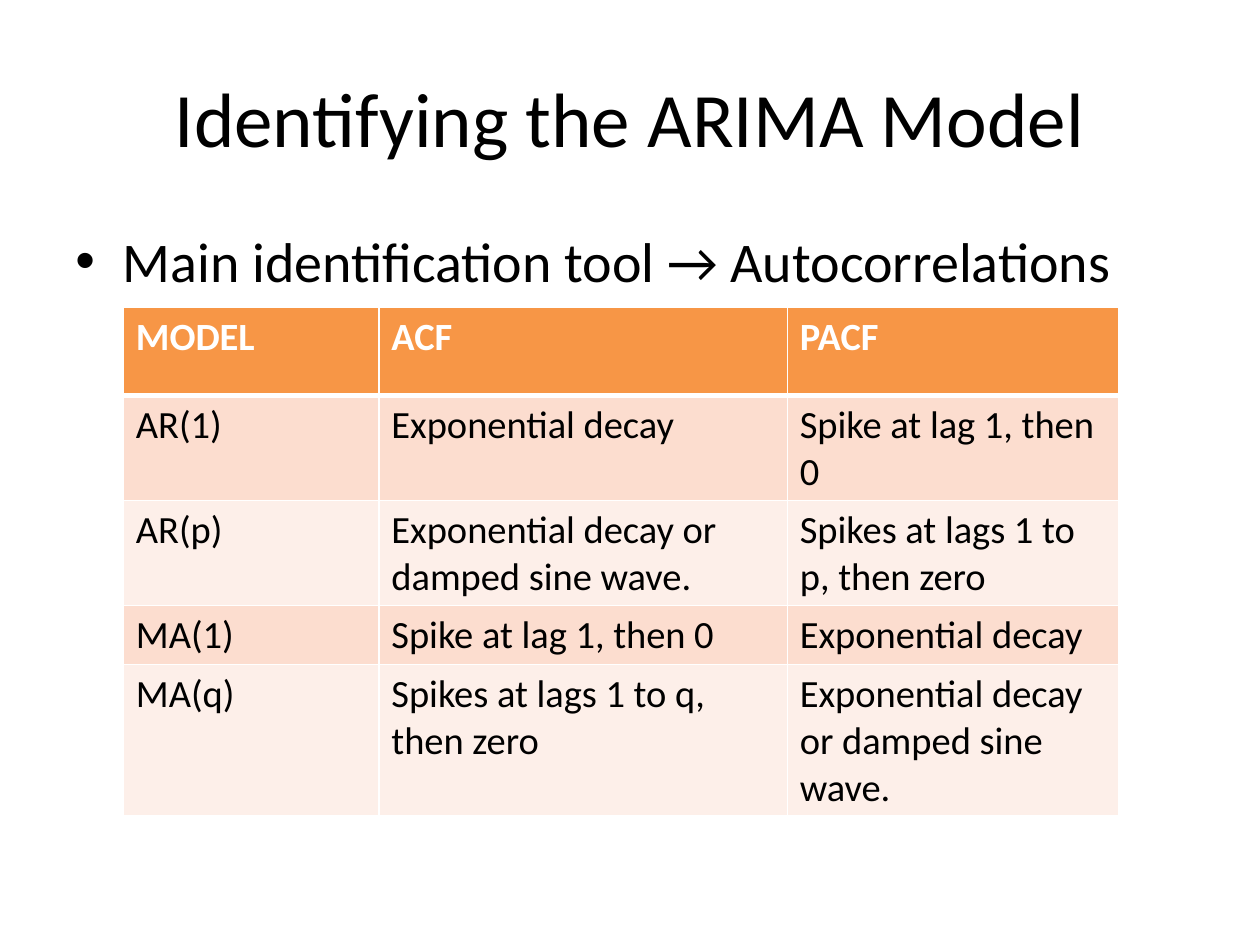
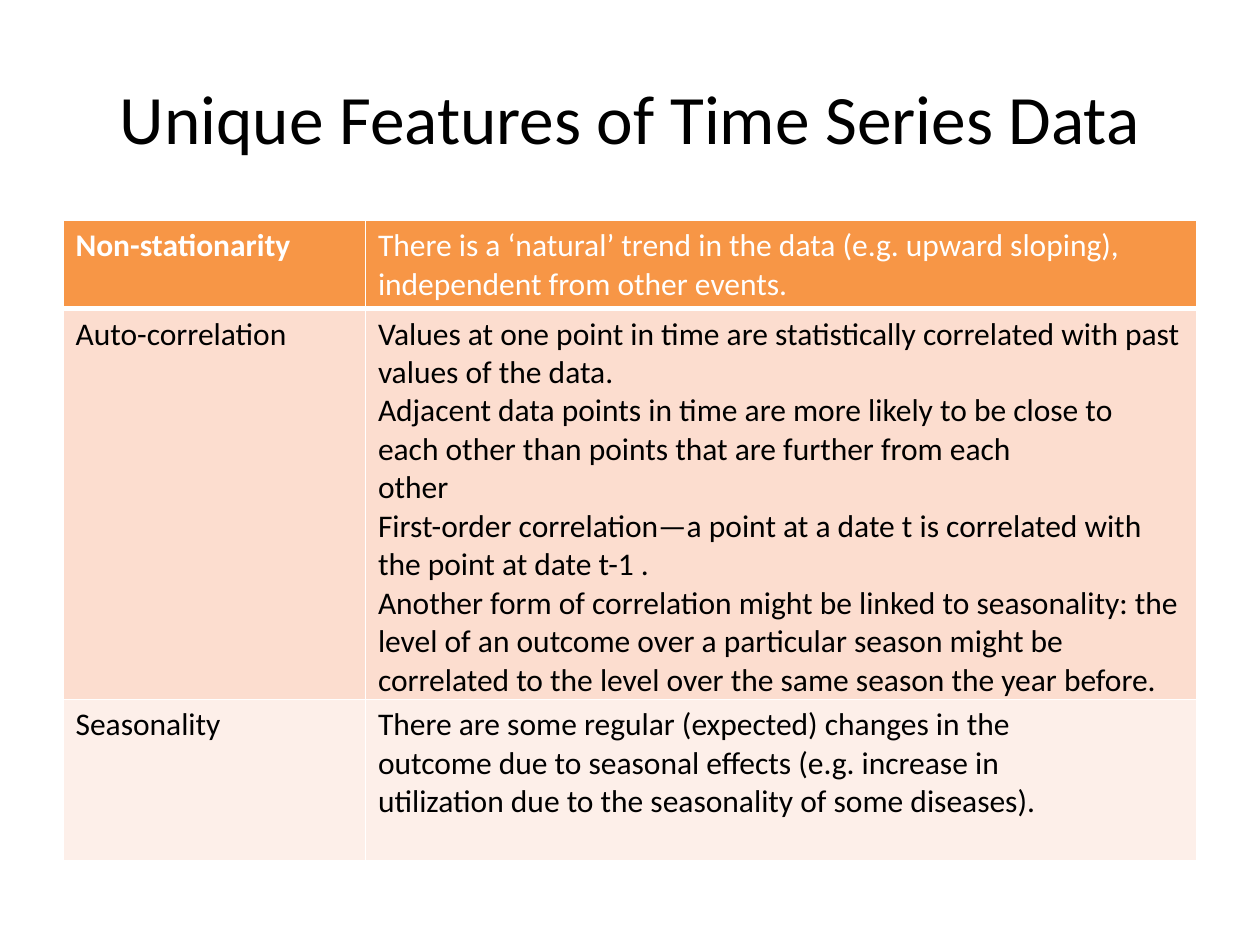
from dataclasses import dataclass

from lxml import etree
from pptx import Presentation
from pptx.dml.color import RGBColor
from pptx.enum import text
from pptx.oxml import ns
from pptx.util import Pt

FONT = "Calibri"
BLACK, WHITE = "000000", "FFFFFF"
HEADER_FILL = "F79646"
BAND_FILLS = ("FCDDCF", "FDEFE9")
MARGIN, CONTENT_WIDTH = 36, 648


@dataclass(frozen=True)
class Grid:
    """A banded table; lengths in points, a newline starts a paragraph."""
    left: float
    top: float
    height: float
    columns: tuple[float, ...]
    row_heights: tuple[float, ...]
    size: float
    rows: tuple[tuple[str, ...], ...]
    bold_headers: int


MODELS = Grid(
    left=70.5, top=175.7, height=291, columns=(146, 233.4, 189.4),
    row_heights=(50.4,) + (29.2,) * 4, size=22, bold_headers=3,
    rows=(
        ("MODEL", "ACF", "PACF"),
        ("AR(1)", "Exponential decay", "Spike at lag 1, then 0"),
        ("AR(p)", "Exponential decay or damped sine wave.",
         "Spikes at lags 1 to p, then zero"),
        ("MA(1)", "Spike at lag 1, then 0", "Exponential decay"),
        ("MA(q)", "Spikes at lags 1 to q, then zero",
         "Exponential decay or damped sine wave."),
    ),
)

FEATURES = Grid(
    left=MARGIN, top=126, height=365.8, columns=(172.8, 475.2),
    row_heights=(46, 193.7, 92.2), size=18, bold_headers=1,
    rows=(
        ("Non-stationarity",
         "There is a ‘natural’ trend in the data (e.g. upward sloping), "
         "independent from other events."),
        ("Auto-correlation",
         "Values at one point in time are statistically correlated with "
         "past values of the data.\n"
         "Adjacent data points in time are more likely to be close to\n"
         "each other than points that are further from each\n"
         "other\n"
         "First-order correlation—a point at a date t is correlated with "
         "the point at date t-1 .\n"
         "Another form of correlation might be linked to seasonality: the "
         "level of an outcome over a particular season might be correlated "
         "to the level over the same season the year before."),
        ("Seasonality",
         "There are some regular (expected) changes in the\n"
         "outcome due to seasonal effects (e.g. increase in\n"
         "utilization due to the seasonality of some diseases)."),
    ),
)


def rgb(hex_color: str) -> RGBColor:
    return RGBColor.from_string(hex_color)


def style(paragraph, size: float, color: str = BLACK, bold: bool = False) -> None:
    font = paragraph.font
    font.name, font.size, font.bold = FONT, Pt(size), bold
    font.color.rgb = rgb(color)


def add_text(slide, words: str, top: float, height: float, size: float):
    """Add a full-width line of text and return its frame and paragraph."""
    box = slide.shapes.add_textbox(Pt(MARGIN), Pt(top), Pt(CONTENT_WIDTH), Pt(height))
    frame = box.text_frame
    frame.word_wrap = True
    paragraph = frame.paragraphs[0]
    paragraph.text = words
    style(paragraph, size)
    return frame, paragraph


def add_title(slide, words: str, size: float) -> None:
    frame, paragraph = add_text(slide, words, 21.6, 90, size)
    frame.vertical_anchor = text.MSO_ANCHOR.MIDDLE
    paragraph.alignment = text.PP_ALIGN.CENTER


def add_bullet(slide, words: str) -> None:
    _, paragraph = add_text(slide, words, 126, 356.4, 32)
    paragraph.space_before = Pt(6.4)
    properties = paragraph._p.get_or_add_pPr()
    properties.set("marL", str(Pt(27)))
    properties.set("indent", str(Pt(-27)))
    mark_font = etree.Element(ns.qn("a:buFont"), typeface="Arial")
    mark = etree.Element(ns.qn("a:buChar"), char="•")
    # Bullet marks follow the spacing and precede the default run style
    position = list(properties).index(properties.find(ns.qn("a:spcBef"))) + 1
    properties[position:position] = [mark_font, mark]


def add_borders(cell, row: int) -> None:
    """White rules, thicker between the header and the first body row."""
    widths = {"L": 1, "R": 1, "T": 3 if row == 1 else 1, "B": 3 if row == 0 else 1}
    properties = cell._tc.get_or_add_tcPr()
    for side, width in widths.items():
        line = etree.SubElement(properties, ns.qn(f"a:ln{side}"), w=str(Pt(width)))
        fill = etree.SubElement(line, ns.qn("a:solidFill"))
        etree.SubElement(fill, ns.qn("a:srgbClr"), val=WHITE)


def add_grid(slide, grid: Grid) -> None:
    frame = slide.shapes.add_table(
        len(grid.rows), len(grid.columns), Pt(grid.left), Pt(grid.top),
        Pt(sum(grid.columns)), Pt(grid.height))
    table = frame.table
    for column, width in zip(table.columns, grid.columns):
        column.width = Pt(width)
    for row, height in zip(table.rows, grid.row_heights):
        row.height = Pt(height)
    frame.height = Pt(grid.height)

    for r, entries in enumerate(grid.rows):
        is_header = r == 0
        for c, words in enumerate(entries):
            cell = table.cell(r, c)
            cell.text = words
            add_borders(cell, r)
            cell.fill.solid()
            cell.fill.fore_color.rgb = rgb(
                HEADER_FILL if is_header else BAND_FILLS[(r - 1) % 2])
            for paragraph in cell.text_frame.paragraphs:
                style(paragraph, grid.size, WHITE if is_header else BLACK,
                      is_header and c < grid.bold_headers)


def main() -> None:
    deck = Presentation()
    deck.slide_width, deck.slide_height = Pt(720), Pt(540)
    blank = deck.slide_layouts[6]

    # Model identification
    identification = deck.slides.add_slide(blank)
    add_title(identification, "Identifying the ARIMA Model", 44)
    add_bullet(identification, "Main identification tool → Autocorrelations")
    add_grid(identification, MODELS)

    # Time series features
    features = deck.slides.add_slide(blank)
    add_title(features, "Unique Features of Time Series Data", 39.6)
    add_grid(features, FEATURES)

    deck.save("out.pptx")


if __name__ == "__main__":
    main()
